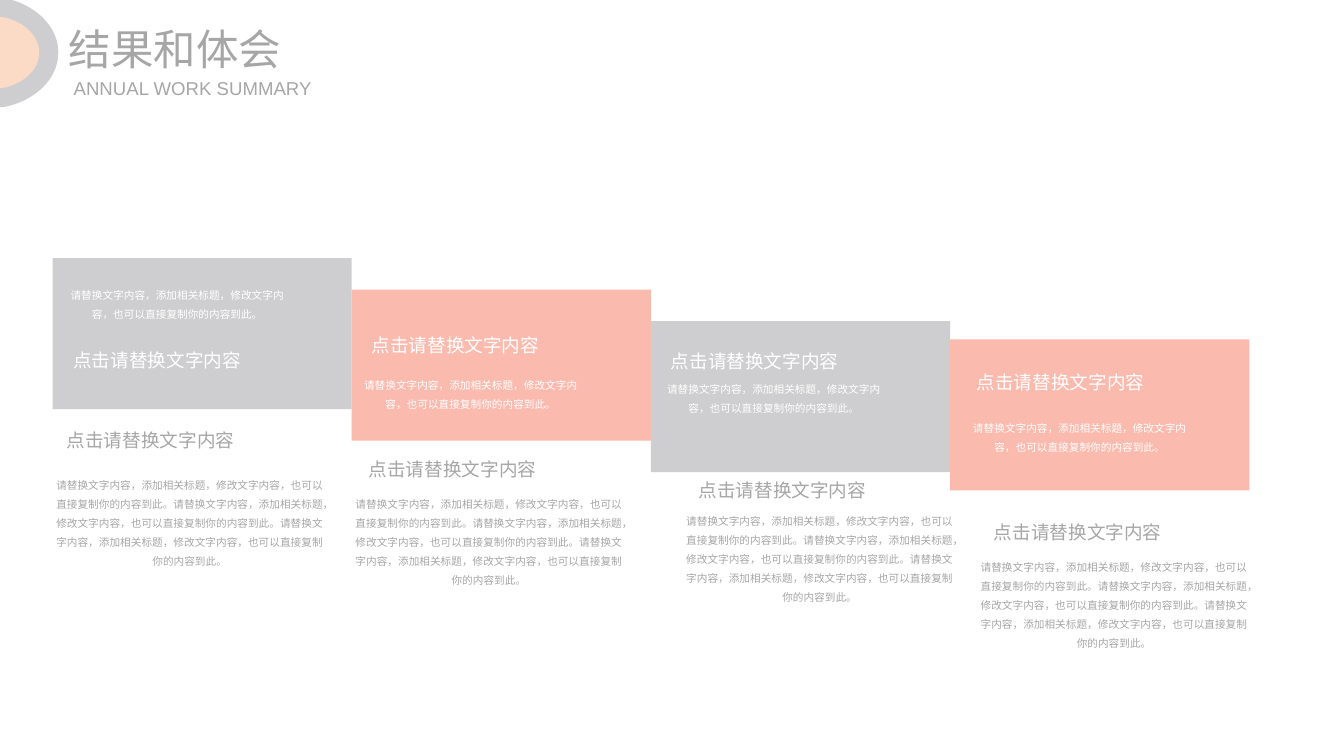
import pptx
import pptx.util
from pptx.dml.color import RGBColor
from pptx.enum.shapes import MSO_SHAPE
from pptx.enum.text import MSO_ANCHOR, MSO_AUTO_SIZE, PP_ALIGN

PX = 9144  # EMU per px, 100 px to the inch
SLIDE_W, SLIDE_H = 1406, 791

GRAY = RGBColor(0xCE, 0xCE, 0xD0)
CORAL = RGBColor(0xFA, 0xBA, 0xAE)
PEACH = RGBColor(0xFB, 0xDB, 0xC6)
TEXT_GRAY = RGBColor(0xA6, 0xA6, 0xA6)
WHITE = RGBColor(0xFF, 0xFF, 0xFF)

FONT = "Arial"
TITLE = "点击请替换文字内容"
SENTENCE = "请替换文字内容，添加相关标题，修改文字内容，也可以直接复制你的内容到此。"

CARD_W, CARD_H = 313, 158
FIRST_LEFT = 55
# Card top and fill, then offsets from the card's corner:
# title and note on the card, heading and body below it
STEPS = [
    (270, GRAY, (20, 95), (15, 26), (0, 179), (2, 224)),
    (303, CORAL, (19, 46), (9, 87), (3, 176), (2, 211)),
    (336, GRAY, (19, 30), (13, 58), (35, 165), (35, 196)),
    (355, CORAL, (26, 33), (20, 80), (31, 190), (30, 225)),
]


def px(length):
    return round(length * PX)


def paint(shape, color):
    shape.shadow.inherit = False
    shape.fill.solid()
    shape.fill.fore_color.rgb = color
    shape.line.fill.background()


def add_text(slide, box, text, size, color, align=PP_ALIGN.CENTER,
             spacing=None, anchor=MSO_ANCHOR.TOP):
    frame = slide.shapes.add_textbox(*map(px, box)).text_frame
    frame.margin_left = frame.margin_right = 0
    frame.margin_top = frame.margin_bottom = 0
    frame.word_wrap = True
    frame.auto_size = MSO_AUTO_SIZE.SHAPE_TO_FIT_TEXT
    frame.vertical_anchor = anchor
    paragraph = frame.paragraphs[0]
    paragraph.text = text
    paragraph.alignment = align
    if spacing:
        paragraph.line_spacing = spacing
    paragraph.font.name = FONT
    paragraph.font.size = pptx.util.Pt(size)
    paragraph.font.color.rgb = color


def add_step(slide, left, top, fill, title, note, heading, body):
    """Card with white text on it and gray text below it."""
    card = slide.shapes.add_shape(
        MSO_SHAPE.RECTANGLE, px(left), px(top), px(CARD_W), px(CARD_H))
    paint(card, fill)

    def place(offset, width, height):
        return left + offset[0], top + offset[1], width, height

    add_text(slide, place(note, 231, 39), SENTENCE, 8, WHITE, spacing=1.5)
    add_text(slide, place(title, 179, 24), TITLE, 14, WHITE)
    add_text(slide, place(heading, 205, 24), TITLE, 14, TEXT_GRAY)
    add_text(slide, place(body, 283, 101), SENTENCE * 3, 8, TEXT_GRAY, spacing=1.5)


def add_half_disc(slide, middle, curve, color, steps=24):
    """Disc cut off by the left edge; curve holds Bezier points of its upper arc."""
    arc = []
    for step in range(steps + 1):
        t = step / steps
        weights = ((1 - t) ** 3, 3 * t * (1 - t) ** 2, 3 * t ** 2 * (1 - t), t ** 3)
        arc.append(tuple(sum(w * point[axis] for w, point in zip(weights, curve))
                         for axis in (0, 1)))
    upper = arc + [(0, arc[-1][1])]
    lower = [(x, 2 * middle - y) for x, y in reversed(upper)]
    points = [(px(x), px(y)) for x, y in upper + lower]
    builder = slide.shapes.build_freeform(*points[0])
    builder.add_line_segments(points[1:], close=True)
    paint(builder.convert_to_shape(), color)


def add_header(slide, left, top):
    add_text(slide, (left, top, 432, 54), "结果和体会", 32, TEXT_GRAY,
             PP_ALIGN.LEFT, anchor=MSO_ANCHOR.MIDDLE)
    add_text(slide, (left + 5, top + 56, 302, 24), "ANNUAL WORK SUMMARY", 14,
             TEXT_GRAY, PP_ALIGN.LEFT, anchor=MSO_ANCHOR.MIDDLE)
    add_half_disc(slide, 55, [(61, 55), (61, 27), (36, 4), (4, -2)], GRAY)
    add_half_disc(slide, 55, [(41, 55), (41, 37), (24, 22), (3, 18)], PEACH)


def main():
    deck = pptx.Presentation()
    deck.slide_width, deck.slide_height = px(SLIDE_W), px(SLIDE_H)
    slide = deck.slides.add_slide(deck.slide_layouts[6])
    for index, (top, *parts) in enumerate(STEPS):
        add_step(slide, FIRST_LEFT + index * CARD_W, top, *parts)
    add_header(slide, 72, 24)
    deck.save("out.pptx")


if __name__ == "__main__":
    main()
